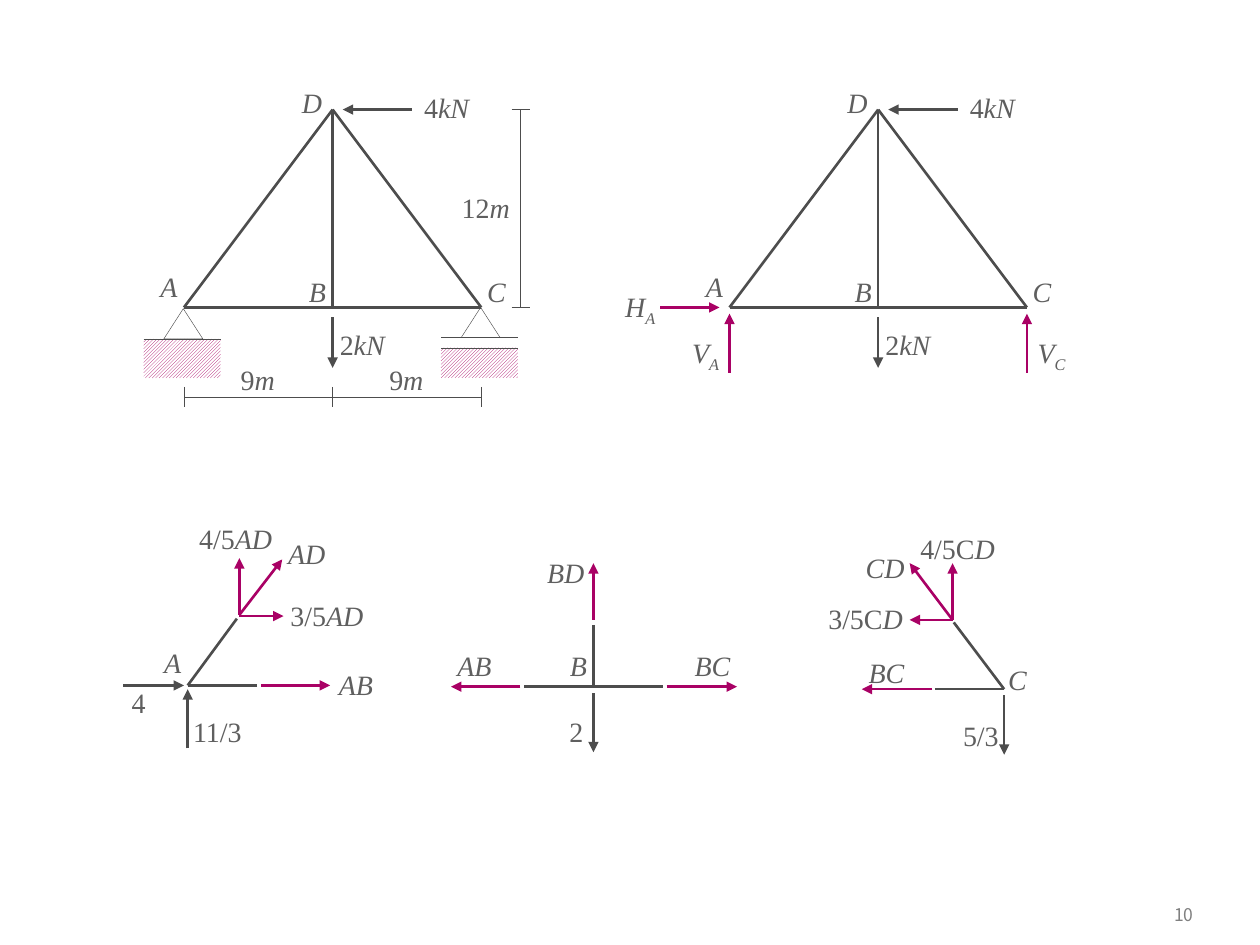
from dataclasses import dataclass
from lxml import etree
from pptx import Presentation
from pptx.dml.color import RGBColor
from pptx.enum.dml import MSO_PATTERN
from pptx.enum.shapes import MSO_CONNECTOR, MSO_SHAPE
from pptx.enum.text import MSO_ANCHOR, PP_ALIGN
from pptx.oxml.ns import qn
from pptx.shapes.shapetree import GroupShapes
from pptx.util import Inches, Pt

STRAIGHT = MSO_CONNECTOR.STRAIGHT
RECT, TRIANGLE = MSO_SHAPE.RECTANGLE, MSO_SHAPE.ISOSCELES_TRIANGLE
HATCH = MSO_PATTERN.LIGHT_UPWARD_DIAGONAL
CENTER, RIGHT = PP_ALIGN.CENTER, PP_ALIGN.RIGHT


@dataclass(frozen=True)
class Theme:
    member: RGBColor = RGBColor(0x4D, 0x4D, 0x4D)
    force: RGBColor = RGBColor(0xA9, 0x01, 0x65)
    text: RGBColor = RGBColor(0x5F, 0x5F, 0x5F)
    number: RGBColor = RGBColor(0x80, 0x80, 0x80)
    white: RGBColor = RGBColor(0xFF, 0xFF, 0xFF)
    font: str = "Times New Roman"
    number_font: str = "Noto Sans CJK KR"
    label_size: float = 16
    number_size: float = 10
    thick: float = 1.5
    thin: float = 0.25


T = Theme()


@dataclass(frozen=True)
class Line:
    x1: float
    y1: float
    x2: float
    y2: float
    color: RGBColor = T.member
    width: float = T.thick
    arrow: bool = False


@dataclass(frozen=True)
class Label:
    x: float
    y: float
    w: float
    upright: str = ""
    italic: str = ""
    sub: str = ""
    h: float = 0.27


def load(x1: float, y1: float, x2: float, y2: float) -> Line:
    return Line(x1, y1, x2, y2, arrow=True)


def force(x1: float, y1: float, x2: float, y2: float) -> Line:
    return Line(x1, y1, x2, y2, T.force, arrow=True)


def thin(x1: float, y1: float, x2: float, y2: float) -> Line:
    return Line(x1, y1, x2, y2, width=T.thin)


def draw_line(shapes: GroupShapes, ln: Line, dx: float) -> None:
    c = shapes.add_connector(STRAIGHT, Inches(ln.x1 + dx), Inches(ln.y1),
                             Inches(ln.x2 + dx), Inches(ln.y2))
    c.line.color.rgb = ln.color
    c.line.width = Pt(ln.width)
    if ln.arrow:
        etree.SubElement(c.line._get_or_add_ln(), qn("a:tailEnd"), type="triangle")
    etree.SubElement(c._element.spPr, qn("a:effectLst"))


def draw_label(shapes: GroupShapes, lb: Label, dx: float) -> None:
    tb = shapes.add_textbox(Inches(lb.x + dx), Inches(lb.y), Inches(lb.w), Inches(lb.h))
    tf = tb.text_frame
    tf.word_wrap = True
    tf.margin_left = tf.margin_right = tf.margin_top = tf.margin_bottom = 0
    p = tf.paragraphs[0]
    p.alignment = CENTER
    for part in ("upright", "italic", "sub"):
        text = getattr(lb, part)
        if not text:
            continue
        r = p.add_run()
        r.text = text
        r.font.name, r.font.size = T.font, Pt(T.label_size)
        r.font.color.rgb = T.text
        r.font.italic = part != "upright"
        if part == "sub":
            r.font._element.set("baseline", "-25000")


def draw(shapes: GroupShapes, items: list[Line | Label], dx: float = 0) -> None:
    for item in items:
        if isinstance(item, Line):
            draw_line(shapes, item, dx)
        else:
            draw_label(shapes, item, dx)


def draw_support(shapes: GroupShapes, x: float, top: float, ground: float, depth: float) -> None:
    """Triangle under a joint at x, above a hatched ground block."""
    block = shapes.add_shape(RECT, Inches(x - 0.32), Inches(ground), Inches(0.61), Inches(depth))
    block.fill.patterned()
    block.fill.pattern = HATCH
    block.fill.fore_color.rgb, block.fill.back_color.rgb = T.force, T.white
    block.line.fill.background()
    foot = shapes.add_shape(TRIANGLE, Inches(x - 0.16), Inches(top), Inches(0.31), Inches(0.24))
    foot.fill.background()
    foot.line.color.rgb, foot.line.width = T.member, Pt(T.thin)
    for sp in (block, foot):
        sp.shadow.inherit = False
    for y in sorted({round(top + 0.24, 2), ground}):
        draw_line(shapes, thin(x - 0.32, y, x + 0.29, y), 0)


# Truss geometry shared by both upper figures
XA, XB, XC, TOP, BASE = 1.46, 2.64, 3.82, 0.87, 2.44
FREE_BODY_DX = 4.33
TRUSS = [
    *(Line(XB, TOP, x, BASE) for x in (XA, XB, XC)),
    Line(XC, BASE, XA, BASE),
    load(3.27, TOP, 2.72, TOP), load(XB, 2.52, XB, 2.92),
    Label(3.11, 0.72, 0.87, "4", "kN"), Label(XB, 2.6, 0.47, "2", "kN"),
    Label(1.22, 2.14, 0.24, italic="A"), Label(XC, 2.18, 0.24, italic="C"),
    Label(2.4, 2.18, 0.24, italic="B"), Label(2.32, 0.68, 0.31, italic="D"),
]
DIMENSIONS = [
    thin(4.13, TOP, 4.13, BASE), thin(XA, 3.15, XC, 3.15),
    *(thin(4.06, y, 4.21, y) for y in (TOP, BASE)),
    *(thin(x, 3.07, x, 3.23) for x in (XA, XB, XC)),
    Label(3.66, 1.51, 0.39, "12", "m"),
    *(Label(x + 0.39, 2.88, 0.39, "9", "m") for x in (XA, XB)),
]
REACTIONS = [
    *(force(x, 2.96, x, 2.49) for x in (XA, XC)), force(0.91, BASE, 1.38, BASE),
    Label(1.08, 2.66, 0.38, italic="V", sub="A"),
    Label(XC, 2.66, 0.39, italic="V", sub="C"),
    Label(0.59, 2.3, 0.32, italic="H", sub="A"),
]

# Joint equilibrium figures
JOINT_A = [
    Label(2.67, 5.3, 0.31, italic="AB"), force(2.07, 5.44, 2.62, 5.44),
    force(1.9, 4.88, 2.24, 4.44), force(1.9, 4.89, 2.25, 4.89), force(1.9, 4.88, 1.9, 4.43),
    Label(2.28, 4.26, 0.31, italic="AD"), Label(2.28, 4.75, 0.63, "3/5", "AD"),
    Label(1.46, 4.14, 0.82, "4/5", "AD"),
    Line(1.88, 4.91, 1.49, 5.44), Line(2.04, 5.44, 1.49, 5.44),
    Label(1.25, 5.12, 0.24, italic="A"), Label(1.49, 5.67, 0.47, "11/3"),
    load(1.49, 5.94, 1.49, 5.47), load(0.98, 5.44, 1.46, 5.44), Label(1.02, 5.44, 0.16, "4"),
]
JOINT_B = [
    Label(4.47, 5.15, 0.24, italic="B"), Label(4.44, 5.67, 0.27, "2"),
    load(4.71, 5.5, 4.71, 5.97), Line(4.71, 4.96, 4.71, 5.45),
    Line(4.16, 5.45, 4.71, 5.45), Line(4.71, 5.45, 5.26, 5.45),
    Label(3.61, 5.15, 0.31, italic="AB"), force(4.13, 5.45, 3.58, 5.45),
    force(4.71, 4.92, 4.71, 4.47), Label(4.32, 4.41, 0.34, italic="BD"),
    force(5.29, 5.45, 5.85, 5.45), Label(5.5, 5.15, 0.31, italic="BC"),
]
JOINT_C = [
    Label(7.97, 5.26, 0.21, italic="C", h=0.29), Label(7.63, 5.7, 0.31, "5/3", h=0.24),
    load(7.97, 5.52, 7.97, 5.99), Line(7.57, 4.94, 7.97, 5.47), Line(7.42, 5.47, 7.97, 5.47),
    Label(6.84, 5.2, 0.39, italic="BC"), force(7.4, 5.47, 6.84, 5.47),
    *(force(7.56, 4.92, x, y) for x, y in ((7.22, 4.47), (7.22, 4.92), (7.56, 4.47))),
    Label(6.84, 4.37, 0.37, italic="CD", h=0.31),
    Label(6.5, 4.77, 0.74, "3/5C", "D", h=0.31), Label(7.23, 4.22, 0.74, "4/5C", "D", h=0.31),
]

prs = Presentation()
prs.slide_width, prs.slide_height = Inches(10), Inches(7.5)
s = prs.slides.add_slide(prs.slide_layouts[6])

# Page number
tf = s.shapes.add_textbox(Inches(8.86), Inches(7.09), Inches(0.71), Inches(0.33)).text_frame
tf.word_wrap = True
tf.vertical_anchor = MSO_ANCHOR.MIDDLE
tf.text = "10"
p = tf.paragraphs[0]
p.alignment = RIGHT
r = p.runs[0]
r.font.name, r.font.size = T.number_font, Pt(T.number_size)
r.font.color.rgb = T.number

# Joints A, B and C
for joint in (JOINT_A, JOINT_B, JOINT_C):
    draw(s.shapes.add_group_shape().shapes, joint)

# Loaded truss with supports and dimensions
truss = s.shapes.add_group_shape().shapes
draw_support(truss, XC, 2.44, 2.76, 0.24)
draw_support(truss, XA, 2.45, 2.69, 0.31)
draw(truss, TRUSS + DIMENSIONS)

# Free body diagram with reactions
draw(s.shapes.add_group_shape().shapes, TRUSS + REACTIONS, FREE_BODY_DX)

prs.save("out.pptx")
